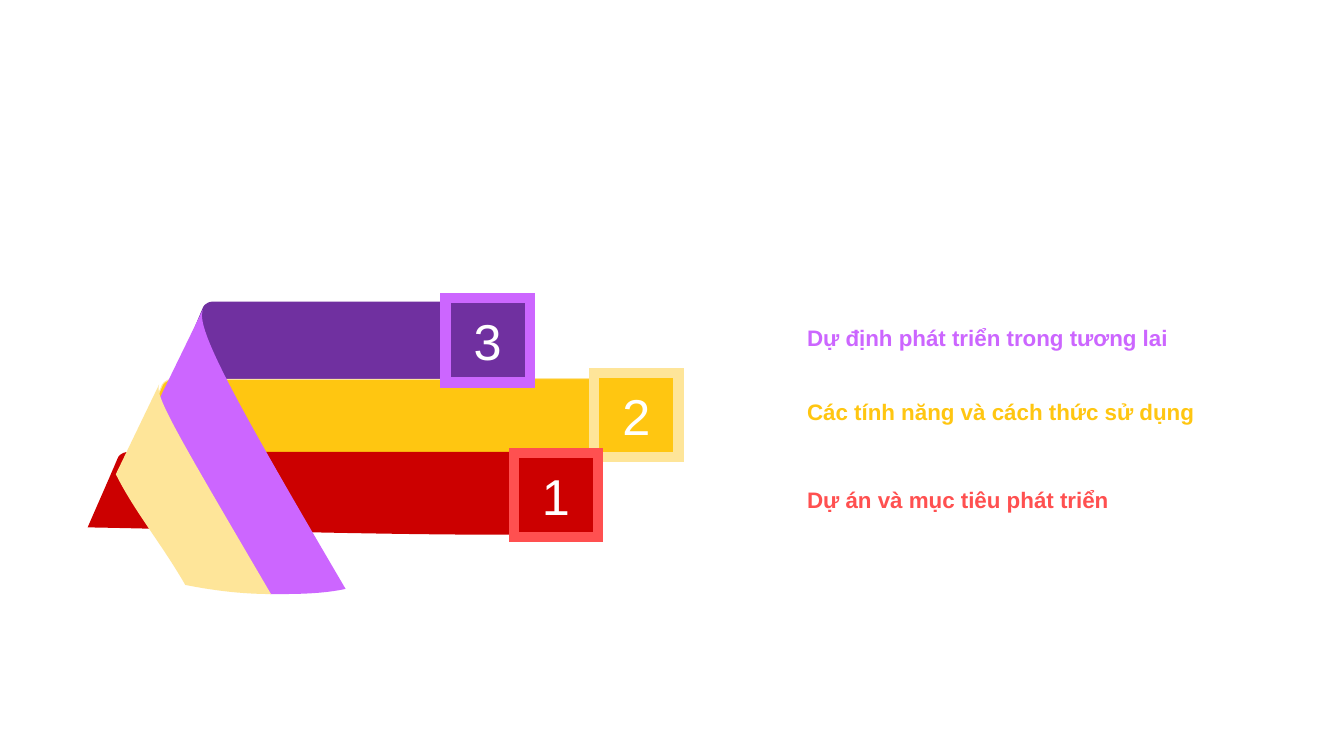
import lxml.etree
import pptx
import pptx.dml.color
import pptx.enum.shapes
import pptx.enum.text
import pptx.oxml.ns
import pptx.util

Cm = pptx.util.Cm
Pt = pptx.util.Pt
RGBColor = pptx.dml.color.RGBColor
qn = pptx.oxml.ns.qn

PURPLE = RGBColor(0x70, 0x30, 0xA0)
VIOLET = RGBColor(0xCC, 0x66, 0xFF)
GOLD = RGBColor(0xFF, 0xC6, 0x11)
CREAM = RGBColor(0xFE, 0xE5, 0x99)
RED = RGBColor(0xCC, 0x00, 0x00)
CORAL = RGBColor(0xFF, 0x50, 0x50)
WHITE = RGBColor(0xFF, 0xFF, 0xFF)

FONT = "Arial"
BADGE_SIZE = 2.12
LABEL_HEIGHT = 0.94

PURPLE_BAND = [
    [(2.91, 0.25)],
    [(1.76, 2.99)],
    [(1.97, 2.43), (7.53, 2.38), (9.03, 2.33)],
    [(11.72, 2.25), (10.86, 0.09), (10.86, 0.09)],
    [(3.18, 0.09)],
    [(2.96, 0.09), (2.91, 0.25), (2.91, 0.25)],
]
GOLD_BAND = [
    [(10.32, 2.03)],
    [(14.01, 2.03)],
    [(14.01, 3.88)],
    [(10.68, 3.88)],
    [(10.47, 4.29)],
    [(10.25, 4.79), (0.87, 4.41), (0.67, 4.97)],
    [(0.67, 4.97), (0.67, 4.97), (1.89, 2.2)],
    [(1.89, 2.2), (1.94, 2.05), (2.17, 2.05)],
    [(2.32, 2.05), (7.1, 2.05), (10.07, 2.05)],
    [(10.32, 2.05)],
]
RED_BAND = [
    [(1.05, 3.88)],
    [(0.82, 3.88), (0.77, 4.03), (0.77, 4.03)],
    [(0.52, 4.62), (0.26, 5.2), (0.01, 5.78)],
    [(1.89, 5.81), (8.04, 5.99), (10.88, 5.96)],
    [(13.19, 5.94), (12.63, 3.88), (12.63, 3.88)],
    [(1.05, 3.88)],
]
VIOLET_FOLD = [
    [(1.76, 2.66)],
    [(2.45, 4.13), (3.52, 5.56), (4.61, 7.46)],
    [(4.68, 7.46), (4.78, 7.46), (4.86, 7.46)],
    [(5.45, 7.46), (6, 7.44), (6.51, 7.33)],
    [(3.74, 2.61), (2.73, 0.78), (2.91, 0.3)],
    [(1.76, 2.66)],
]
CREAM_FOLD = [
    [(0.72, 4.44)],
    [(1.2, 5.4), (1.86, 6.17), (2.47, 7.23)],
    [(3.13, 7.36), (3.85, 7.46), (4.63, 7.46)],
    [(2.25, 3.4), (1.69, 2.46), (1.81, 2.18)],
    [(0.72, 4.44)],
]

BANDS = [
    (PURPLE_BAND, 9.25, 2.9, PURPLE, None),
    (GOLD_BAND, 13.34, 2.94, GOLD, CREAM),
    (RED_BAND, 12.67, 2.08, RED, None),
]
FOLDS = [
    (VIOLET_FOLD, 4.75, 7.16, VIOLET, None),
    (CREAM_FOLD, 3.91, 5.28, CREAM, None),
]
BADGES = [
    ("3", 9.03, 0.01, PURPLE, VIOLET),
    ("2", 12.78, 1.89, GOLD, CREAM),
    ("1", 10.75, 3.91, RED, CORAL),
]
LEADERS = [(0, 0), (3.81, 1.85), (1.72, 3.71), (5.41, 5.53), (3.37, 7.67)]
TOPICS = [
    ("Dự định phát triển trong tương lai", 0, 12.19, VIOLET),
    ("Các tính năng và cách thức sử dụng", 1.86, 12.19, GOLD),
    ("Dự án và mục tiêu phát triển", 4.07, 9.86, CORAL),
]


def style_shape(shape, fill, line, width):
    shape.shadow.inherit = False
    shape.fill.solid()
    shape.fill.fore_color.rgb = fill
    if line is None:
        shape.line.fill.background()
    else:
        shape.line.color.rgb = line
        shape.line.width = Pt(width)
        lxml.etree.SubElement(shape.line._get_or_add_ln(), qn("a:miter"), lim="800000")


def format_text(paragraph, size, color, bold):
    font = paragraph.runs[0].font
    font.name = FONT
    font.size = Pt(size)
    font.bold = bold
    font.color.rgb = color


def add_ribbon_part(slide, left, top, outline, width, height, fill, line):
    ends = [(Cm(x), Cm(y)) for x, y in (segment[-1] for segment in outline)]
    builder = slide.shapes.build_freeform(*ends[0])
    builder.add_line_segments(ends[1:], close=True)
    part = builder.convert_to_shape(Cm(left), Cm(top))
    part.width, part.height = Cm(width), Cm(height)
    contour = next(part._element.iter(qn("a:path")))
    contour.set("w", str(part.width))
    contour.set("h", str(part.height))
    for step, segment in zip(contour.findall(qn("a:lnTo")), outline[1:]):
        if len(segment) == 3:
            curve = lxml.etree.Element(qn("a:cubicBezTo"))
            for x, y in segment:
                local_x = Cm(left + x) - part.left
                local_y = Cm(top + y) - part.top
                lxml.etree.SubElement(curve, qn("a:pt"), x=str(local_x), y=str(local_y))
            contour.replace(step, curve)
    style_shape(part, fill, line, 0.75)


def add_badge(slide, left, top, number, fill, border):
    badge = slide.shapes.add_shape(
        pptx.enum.shapes.MSO_SHAPE.RECTANGLE,
        Cm(left), Cm(top), Cm(BADGE_SIZE), Cm(BADGE_SIZE),
    )
    style_shape(badge, fill, border, 7.25)
    badge.text_frame.text = number
    badge.text_frame.vertical_anchor = pptx.enum.text.MSO_ANCHOR.MIDDLE
    paragraph = badge.text_frame.paragraphs[0]
    paragraph.alignment = pptx.enum.text.PP_ALIGN.CENTER
    format_text(paragraph, 36, WHITE, False)


def add_ribbons(slide, left, top):
    for band in BANDS:
        add_ribbon_part(slide, left, top, *band)
    for number, x, y, fill, border in BADGES:
        add_badge(slide, left + x, top + y, number, fill, border)
    for fold in FOLDS:
        add_ribbon_part(slide, left, top, *fold)


def add_leaders(slide, left, top, width):
    for x, y in LEADERS:
        leader = slide.shapes.add_connector(
            pptx.enum.shapes.MSO_CONNECTOR.STRAIGHT,
            Cm(left + x), Cm(top + y), Cm(left + width), Cm(top + y),
        )
        leader.line.color.rgb = WHITE
        leader.line.width = Pt(1.5)
        stroke = leader.line._get_or_add_ln()
        lxml.etree.SubElement(stroke, qn("a:prstDash"), val="dot")
        for end in ("a:headEnd", "a:tailEnd"):
            lxml.etree.SubElement(stroke, qn(end), type="oval")
        lxml.etree.SubElement(leader._element.spPr, qn("a:effectLst"))


def add_topics(slide, left, top):
    for topic, y, width, color in TOPICS:
        label = slide.shapes.add_textbox(Cm(left), Cm(top + y), Cm(width), Cm(LABEL_HEIGHT))
        label.text_frame.word_wrap = True
        label.text_frame.text = topic
        format_text(label.text_frame.paragraphs[0], 16, color, True)


def main():
    presentation = pptx.Presentation()
    presentation.slide_width = Cm(33.87)
    presentation.slide_height = Cm(19.05)
    slide = presentation.slides.add_slide(presentation.slide_layouts[6])
    add_ribbons(slide, 2.2, 7.51)
    add_leaders(slide, 12.4, 4.93, 9.65)
    add_topics(slide, 20.09, 8.05)
    presentation.save("out.pptx")


if __name__ == "__main__":
    main()
